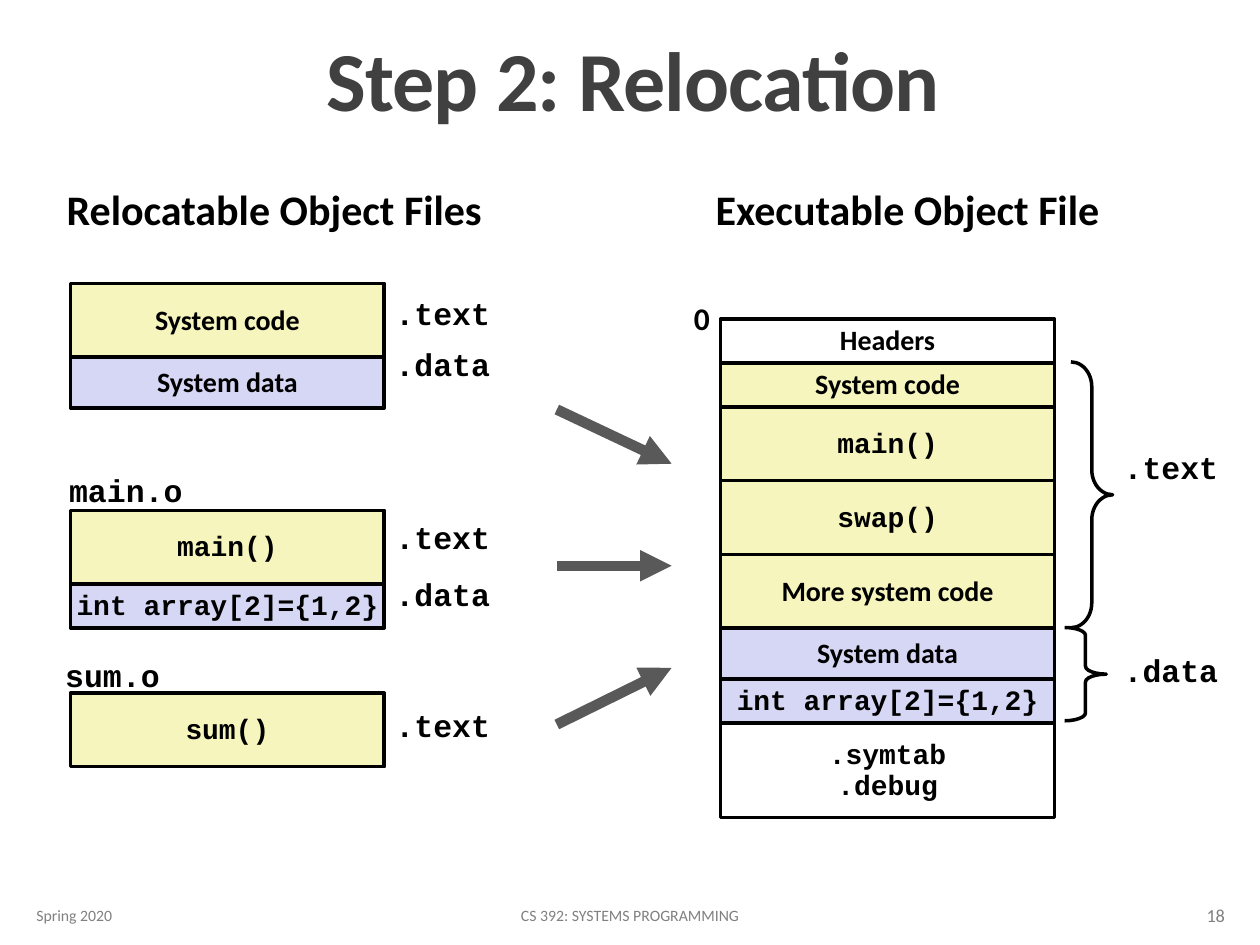
from dataclasses import dataclass
from lxml import etree
from pptx import Presentation
from pptx.dml.color import RGBColor
from pptx.enum.shapes import MSO_CONNECTOR, MSO_SHAPE
from pptx.enum.text import MSO_ANCHOR, MSO_AUTO_SIZE, PP_ALIGN
from pptx.oxml.ns import qn
from pptx.util import Pt

RECTANGLE = MSO_SHAPE.RECTANGLE
BRACE = MSO_SHAPE.RIGHT_BRACE
STRAIGHT = MSO_CONNECTOR.STRAIGHT
TOP, MIDDLE, BOTTOM = MSO_ANCHOR.TOP, MSO_ANCHOR.MIDDLE, MSO_ANCHOR.BOTTOM
GROW, FIXED = MSO_AUTO_SIZE.SHAPE_TO_FIT_TEXT, MSO_AUTO_SIZE.NONE
LEFT, CENTER, RIGHT = PP_ALIGN.LEFT, PP_ALIGN.CENTER, PP_ALIGN.RIGHT


@dataclass(frozen=True)
class Theme:
    sans: str = "Calibri"
    mono: str = "Courier New"
    black: RGBColor = RGBColor(0, 0, 0)
    title: RGBColor = RGBColor(0x40, 0x40, 0x40)
    arrow: RGBColor = RGBColor(0x59, 0x59, 0x59)
    footer: RGBColor = RGBColor(0x80, 0x80, 0x80)
    plain: RGBColor = RGBColor(0xFF, 0xFF, 0xFF)
    code: RGBColor = RGBColor(0xF6, 0xF5, 0xBD)
    data: RGBColor = RGBColor(0xD6, 0xD6, 0xF5)
    title_size: float = 48
    heading_size: float = 24
    label_size: float = 18
    box_size: float = 16
    number_size: float = 10.5
    footer_size: float = 9
    outline: float = 2
    arrow_width: float = 6


theme = Theme()
presentation = Presentation()
presentation.slide_width, presentation.slide_height = Pt(720), Pt(540)
slide = presentation.slides.add_slide(presentation.slide_layouts[5])
shapes = slide.shapes


def write(shape, text, font, size, color=theme.black, bold=True, align=LEFT,
          anchor=TOP, spacing=None, wrap=False, fit=FIXED):
    frame = shape.text_frame
    frame.text = text
    frame_format = {
        "word_wrap": wrap, "auto_size": fit, "vertical_anchor": anchor,
        "margin_left": Pt(7.2), "margin_right": Pt(7.2),
        "margin_top": Pt(3.6), "margin_bottom": Pt(3.6),
    }
    for name, value in frame_format.items():
        setattr(frame, name, value)
    for paragraph in frame.paragraphs:
        paragraph.alignment = align
        paragraph.line_spacing = spacing
        for run in paragraph.runs:
            run.font.color.rgb = color
            run_format = {"name": font, "size": Pt(size), "bold": bold}
            for name, value in run_format.items():
                setattr(run.font, name, value)


def add_outlined(kind, left, top, width, height):
    shape = shapes.add_shape(kind, Pt(left), Pt(top), Pt(width), Pt(height))
    shape.shadow.inherit = False
    shape.line.color.rgb = theme.black
    shape.line.width = Pt(theme.outline)
    return shape


title = shapes.title
title_place = {"left": 64.8, "top": 2.9, "width": 594, "height": 74.2}
for name, value in title_place.items():
    setattr(title, name, Pt(value))
write(title, "Step 2: Relocation", theme.sans, theme.title_size, theme.title,
      align=CENTER, anchor=BOTTOM, spacing=0.85, wrap=True)
title.text_frame.paragraphs[0].runs[0].font._element.set("spc", "-50")

line_spacing = {theme.sans: 0.98, theme.mono: 0.94}
tall, short, medium = 42.1, 25.2, 29.2
array_text = "int array[2]={1,2}"
stacks = [
    (40.3, 162, 179.3, [
        ("System code", tall, theme.code, theme.sans),
        ("System data", medium, theme.data, theme.sans),
    ]),
    (40.3, 291.6, 179.3, [
        ("main()", tall, theme.code, theme.mono),
        (array_text, short, theme.data, theme.mono),
    ]),
    (40.3, 396, 179.3, [("sum()", tall, theme.code, theme.mono)]),
    (411.8, 182.2, 190.8, [
        ("Headers", short, theme.plain, theme.sans),
        ("System code", short, theme.code, theme.sans),
        ("main()", tall, theme.code, theme.mono),
        ("swap()", tall, theme.code, theme.mono),
        ("More system code", tall, theme.code, theme.sans),
        ("System data", medium, theme.data, theme.sans),
        (array_text, short, theme.data, theme.mono),
        (".symtab\n.debug", 54, theme.plain, theme.mono),
    ]),
]
for left, top, width, sections in stacks:
    for text, height, fill, font in sections:
        section = add_outlined(RECTANGLE, left, top, width, height)
        section.fill.solid()
        section.fill.fore_color.rgb = fill
        write(section, text, font, theme.box_size, align=CENTER,
              anchor=MIDDLE, spacing=line_spacing[font])
        top += height

labels = [
    ("Relocatable Object Files", 31, 103, 254.2, 36, theme.sans, theme.heading_size),
    ("Executable Object File", 401.8, 103, 236.2, 36, theme.sans, theme.heading_size),
    ("0", 389.5, 168.5, 24.5, 28.8, theme.sans, theme.label_size),
    ("main.o", 32.4, 267.1, 79.2, 28.1, theme.mono, theme.label_size),
    ("sum.o", 30.2, 373, 69.1, 28.1, theme.mono, theme.label_size),
]
section_labels = [
    (".text", 218.9, 166.3), (".data", 218.9, 195.1),
    (".text", 218.9, 294.5), (".data", 218.9, 326.9),
    (".text", 218.9, 401.8),
    (".text", 635, 254.2), (".data", 635, 370.1),
]
for text, left, top in section_labels:
    labels.append((text, left, top, 68.4, 28.1, theme.mono, theme.label_size))
for text, left, top, width, height, font, size in labels:
    label = shapes.add_textbox(Pt(left), Pt(top), Pt(width), Pt(height))
    write(label, text, font, size, spacing=line_spacing[font], fit=GROW)

braces = [(612, 206.8, 151.9, 0.6), (608.4, 358.6, 53.3, 0.19)]
for left, top, height, curve in braces:
    brace = add_outlined(BRACE, left, top, 23.8, height)
    brace.fill.background()
    brace.adjustments[0] = curve
    brace.adjustments[1] = 0.5

for start, end in [(234, 265), (323.3, 323.3), (414, 381.6)]:
    arrow = shapes.add_connector(STRAIGHT, Pt(318.2), Pt(start), Pt(383.8), Pt(end))
    arrow.line.color.rgb = theme.arrow
    arrow.line.width = Pt(theme.arrow_width)
    etree.SubElement(arrow.line._get_or_add_ln(), qn("a:tailEnd"), type="triangle")
    etree.SubElement(arrow._element.spPr, qn("a:effectLst"))

footers = [
    ("Spring 2020", 13.7, 146.2, theme.footer_size, LEFT),
    ("CS 392: SYSTEMS PROGRAMMING", 217.4, 285.1, theme.footer_size, CENTER),
    ("18", 629.3, 77.8, theme.number_size, RIGHT),
]
for text, left, width, size, align in footers:
    footer = shapes.add_textbox(Pt(left), Pt(508.5), Pt(width), Pt(28.8))
    write(footer, text, theme.sans, size, theme.footer, bold=False,
          align=align, anchor=MIDDLE, wrap=True)

presentation.save("out.pptx")
